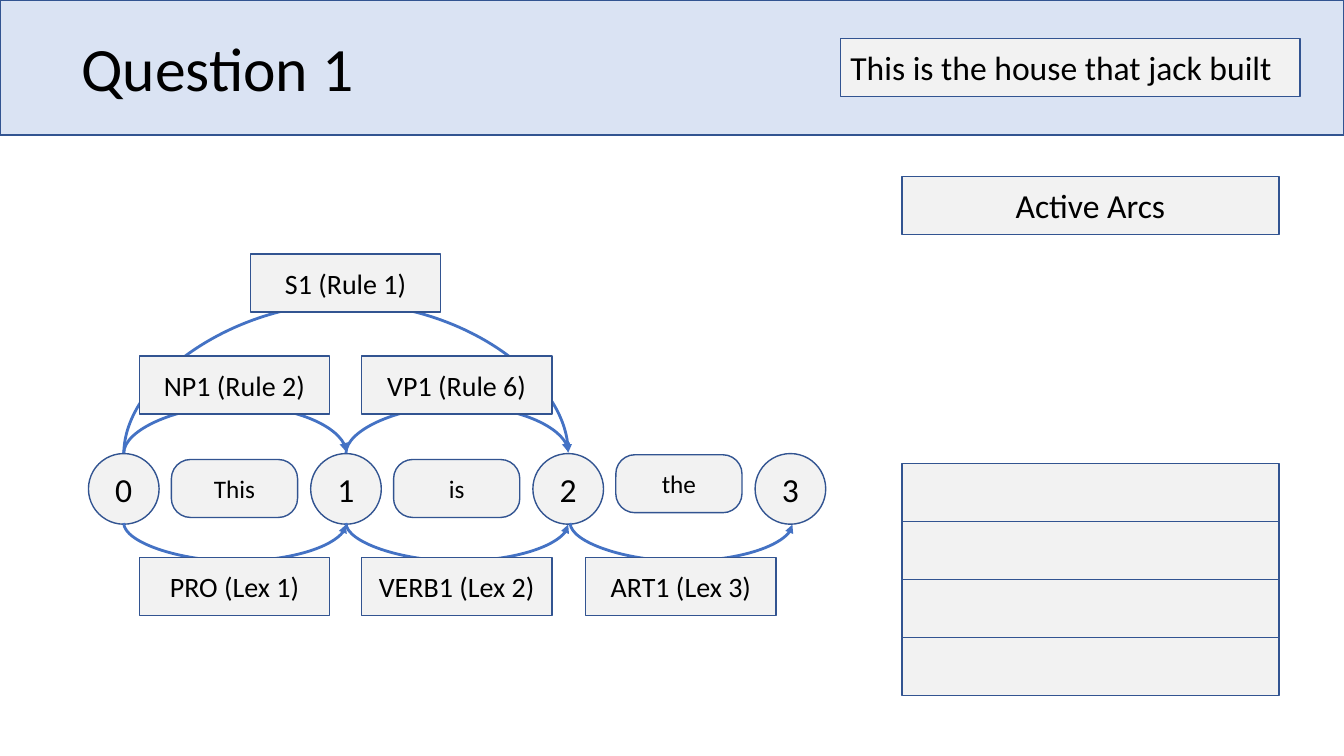
"""Chart-parsing slide: word lattice with labelled arcs and a list of active arcs."""
from dataclasses import dataclass

from lxml import etree
from pptx import Presentation
from pptx.dml.color import RGBColor
from pptx.enum import shapes, text
from pptx.oxml.ns import qn
from pptx import util as u


@dataclass(frozen=True)
class Theme:
    font: str = "Calibri"
    ink: str = "000000"
    banner: str = "DAE3F3"
    panel: str = "F2F2F2"
    outline: str = "325491"
    arc: str = "4472C4"
    title: int = 44
    heading: int = 24
    label: int = 20
    word: int = 18
    outline_width: int = 1
    arc_width: int = 2


class ParseSlide:
    def __init__(self, deck, theme):
        self.theme = theme
        self.slide = deck.slides.add_slide(deck.slide_layouts[6])

    def set_wording(self, frame, wording, size, align):
        frame.word_wrap = True
        frame.vertical_anchor = text.MSO_ANCHOR.MIDDLE
        frame.text = wording
        paragraph = frame.paragraphs[0]
        paragraph.alignment = align
        for run in paragraph.runs:
            run.font.name = self.theme.font
            run.font.size = u.Pt(size)
            run.font.color.rgb = RGBColor.from_string(self.theme.ink)
        return paragraph

    def title(self, wording, left, top, width, height):
        heading = self.slide.shapes.add_textbox(
            u.Cm(left), u.Cm(top), u.Cm(width), u.Cm(height))
        paragraph = self.set_wording(
            heading.text_frame, wording, self.theme.title, text.PP_ALIGN.LEFT)
        paragraph.line_spacing = 0.9

    def box(self, left, top, width, height, wording="", size=None, kind="RECTANGLE",
            fill=None, align=text.PP_ALIGN.CENTER):
        panel = self.slide.shapes.add_shape(
            shapes.MSO_SHAPE[kind], u.Cm(left), u.Cm(top), u.Cm(width), u.Cm(height))
        panel.shadow.inherit = False
        panel.fill.solid()
        panel.fill.fore_color.rgb = RGBColor.from_string(fill or self.theme.panel)
        panel.line.color.rgb = RGBColor.from_string(self.theme.outline)
        panel.line.width = u.Pt(self.theme.outline_width)
        if wording:
            self.set_wording(panel.text_frame, wording, size, align)
        return panel

    def arc(self, start, end, level, depth, above):
        thickness, span = 0.04, end - start
        left, top = (start + end - thickness) / 2, level - span / 2
        curve = self.slide.shapes.add_connector(
            shapes.MSO_CONNECTOR.CURVE, u.Cm(left), u.Cm(top),
            u.Cm(left + thickness), u.Cm(top + span))
        curve.line.color.rgb = RGBColor.from_string(self.theme.arc)
        curve.line.width = u.Pt(self.theme.arc_width)
        properties = curve._element.spPr
        etree.SubElement(properties.find(qn("a:ln")), qn("a:tailEnd"), type="triangle")
        etree.SubElement(properties, qn("a:effectLst"))
        frame = properties.find(qn("a:xfrm"))
        frame.set("rot", str((90 if above else 270) * 60000))
        frame.set("flipH", "1")
        if above:
            frame.set("flipV", "1")
        bends = properties.find(qn("a:prstGeom")).get_or_add_avLst()
        etree.SubElement(bends, qn("a:gd"), name="adj1",
                         fmla=f"val {round(depth / thickness * 100000)}")


def main():
    deck = Presentation()
    deck.slide_width, deck.slide_height = u.Cm(33.87), u.Cm(19.05)
    theme = Theme()
    page = ParseSlide(deck, theme)

    pitch, node_left, node_top, node_size = 5.6, 2.23, 11.43, 1.78
    label_left, label_width, row = 3.51, 4.8, 1.46
    centres = [node_left + node_size / 2 + pitch * i for i in range(4)]

    page.arc(centres[0], centres[2], node_top, 3.81, True)
    page.box(0, 0, 33.87, 3.4, fill=theme.banner)
    page.title("Question 1", 1.8, -0.03, 29.21, 3.68)
    page.box(21.18, 0.97, 11.58, row, "This is the house that jack built", theme.heading,
             align=text.PP_ALIGN.LEFT)

    page.box(22.73, 4.45, 9.5, row, "Active Arcs", theme.heading)
    for i in range(4):
        page.box(22.73, 11.68 + row * i, 9.5, row)

    for i in range(4):
        page.box(node_left + pitch * i, node_top, node_size, node_size, str(i),
                 theme.heading, "OVAL")

    for i, (word, word_top) in enumerate([("This", 11.58), ("is", 11.58), ("the", 11.46)]):
        token = page.box(4.32 + pitch * i, word_top, 3.18, row, word, theme.word,
                         "ROUNDED_RECTANGLE")
        token.adjustments[0] = 0.33

    for i, phrase in enumerate(["NP1 (Rule 2)", "VP1 (Rule 6)"]):
        page.arc(centres[i], centres[i + 1], 11.4, 1.2, True)
        page.box(label_left + pitch * i, 8.97, label_width, row, phrase, theme.label)

    for i, (entry, shift) in enumerate([("PRO (Lex 1)", 0), ("VERB1 (Lex 2)", 0),
                                        ("ART1 (Lex 3)", 0.05)]):
        page.arc(centres[i] + shift, centres[i + 1] + shift, 13.2, 0.96, False)
        page.box(label_left + pitch * i + shift, 14.05, label_width, row, entry, theme.label)

    page.box(label_left + pitch / 2, 6.4, label_width, row, "S1 (Rule 1)", theme.label)

    deck.save("out.pptx")


if __name__ == "__main__":
    main()
